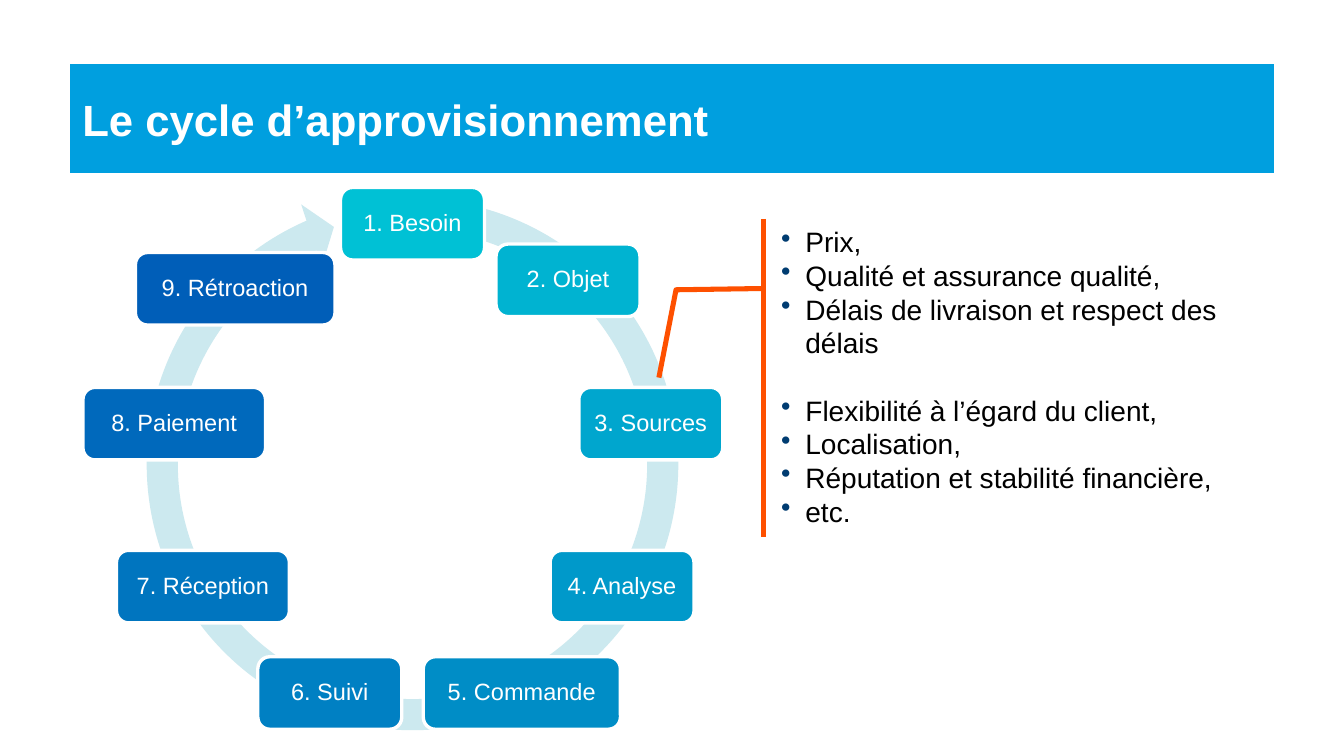
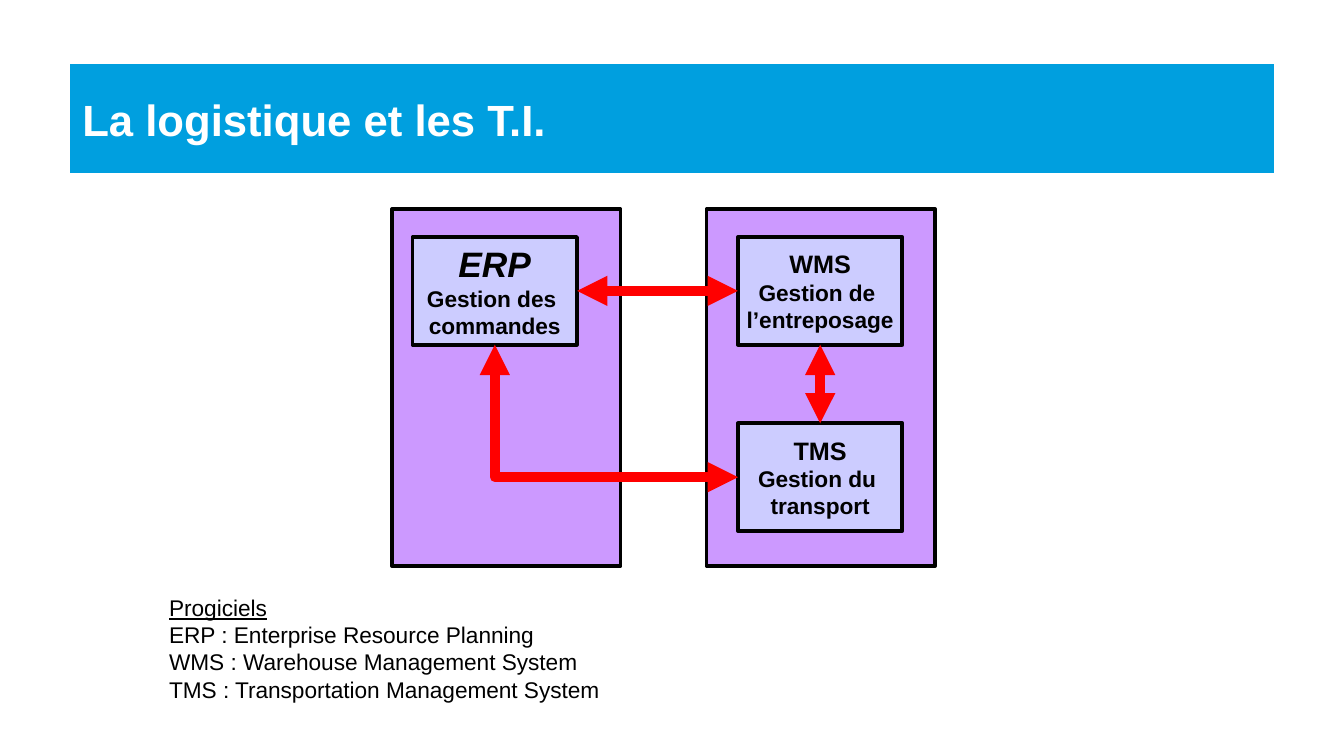
"""Build two slides on procurement and logistics."""
from math import cos, radians, sin

from lxml import etree
from pptx import Presentation
from pptx.dml.color import RGBColor
from pptx.enum.shapes import MSO_CONNECTOR, MSO_SHAPE
from pptx.enum.text import MSO_ANCHOR, MSO_AUTO_SIZE, PP_ALIGN
from pptx.oxml.ns import qn
from pptx.util import Inches, Pt

RECT = MSO_SHAPE.RECTANGLE
ROUND = MSO_SHAPE.ROUNDED_RECTANGLE
ARROW = MSO_SHAPE.CIRCULAR_ARROW
CALLOUT = MSO_SHAPE.LINE_CALLOUT_2_ACCENT_BAR
LINE, ELBOW = MSO_CONNECTOR.STRAIGHT, MSO_CONNECTOR.ELBOW
TOP, MIDDLE = MSO_ANCHOR.TOP, MSO_ANCHOR.MIDDLE
LEFT, CENTER = PP_ALIGN.LEFT, PP_ALIGN.CENTER
FIXED = MSO_AUTO_SIZE.NONE

FONT = "Arial"
WHITE = RGBColor(255, 255, 255)
BLACK = RGBColor(0, 0, 0)
BLUE = RGBColor(0x00, 0x9F, 0xDF)
NAVY = RGBColor(0x00, 0x3C, 0x71)
PALE = RGBColor(0xCC, 0xE9, 0xEF)
ORANGE = RGBColor(0xFE, 0x50, 0x00)
PURPLE = RGBColor(0xCC, 0x99, 0xFF)
LILAC = RGBColor(0xCC, 0xCC, 0xFF)
RED = RGBColor(0xFF, 0x00, 0x00)

STEPS = [
    ("1. Besoin", 1.19, 0, 0, RGBColor(0x00, 0xC1, 0xD5)),
    ("2. Objet", 1.19, 0, 0, RGBColor(0x00, 0xB3, 0xD1)),
    ("3. Sources", 1.19, 0, 0, RGBColor(0x00, 0xA6, 0xCE)),
    ("4. Analyse", 1.19, 0, 0, RGBColor(0x00, 0x99, 0xCA)),
    ("5. Commande", 1.63, 0.22, 0, RGBColor(0x00, 0x8D, 0xC6)),
    ("6. Suivi", 1.19, 0, 0, RGBColor(0x00, 0x80, 0xC3)),
    ("7. Réception", 1.43, 0, 0, RGBColor(0x00, 0x75, 0xBF)),
    ("8. Paiement", 1.51, 0, 0, RGBColor(0x00, 0x69, 0xBC)),
    ("9. Rétroaction", 1.65, -0.18, 0.07, RGBColor(0x00, 0x5E, 0xB8)),
]
FACTORS = [
    ("Prix,", 0),
    ("Qualité et assurance qualité,", 0),
    ("Délais de livraison et respect des délais", 0),
    ("Flexibilité à l’égard du client,", 20),
    ("Localisation,", 0),
    ("Réputation et stabilité financière,", 0),
    ("etc.", 0),
]
TERMS = [
    "ERP : Enterprise Resource Planning",
    "WMS : Warehouse Management System",
    "TMS : Transportation Management System",
]


def write(frame, text, size, color=BLACK, bold=False, italic=False,
          under=False, align=LEFT, space=None, before=0, bullet=None):
    """Add one formatted paragraph to a text frame."""
    para = frame.add_paragraph() if frame.text else frame.paragraphs[0]
    if bullet is not None:
        props = para._p.get_or_add_pPr()
        props.set("marL", str(Inches(0.2)))
        props.set("indent", str(-Inches(0.2)))
        tint = etree.SubElement(props, qn("a:buClr"))
        etree.SubElement(tint, qn("a:srgbClr")).set("val", str(bullet))
        etree.SubElement(props, qn("a:buChar")).set("char", "•")
    para.alignment = align
    if space:
        para.line_spacing = space
    if before:
        para.space_before = Pt(before)
    run = para.add_run()
    run.text = text
    font = run.font
    font.name, font.size = FONT, Pt(size)
    font.bold, font.italic, font.underline = bold, italic, under
    font.color.rgb = color


def draw(slide, kind, x, y, w, h, fill=None, line=None, width=1, adjust=()):
    """Add a preset shape with a flat fill and line."""
    shape = slide.shapes.add_shape(kind, Inches(x), Inches(y), Inches(w), Inches(h))
    shape.shadow.inherit = False
    if fill is None:
        shape.fill.background()
    else:
        shape.fill.solid()
        shape.fill.fore_color.rgb = fill
    if line is None:
        shape.line.fill.background()
    else:
        shape.line.color.rgb = line
        shape.line.width = Pt(width)
    for i, value in enumerate(adjust):
        shape.adjustments[i] = value
    shape.text_frame.vertical_anchor = MIDDLE
    return shape


def link(slide, x1, y1, x2, y2, bent=False):
    """Join two points by a red line with two arrowheads."""
    if bent:
        mx, my = (x1 + x2) / 2, (y1 + y2) / 2
        w, h = y2 - y1, x2 - x1
        x1, y1, x2, y2 = mx - w / 2, my - h / 2, mx + w / 2, my + h / 2
    wire = slide.shapes.add_connector(
        ELBOW if bent else LINE, Inches(x1), Inches(y1), Inches(x2), Inches(y2))
    wire.line.color.rgb = RED
    wire.line.width = Pt(6)
    props = wire._element.spPr
    if bent:
        props.find(qn("a:prstGeom")).set("prst", "bentConnector2")
        frame = props.find(qn("a:xfrm"))
        frame.set("rot", "16200000")
        frame.set("flipH", "1")
    for end in ("a:headEnd", "a:tailEnd"):
        etree.SubElement(props.find(qn("a:ln")), qn(end)).set("type", "triangle")
    etree.SubElement(props, qn("a:effectLst"))


def start(deck, text):
    """Add a slide with the shared title band."""
    slide = deck.slides.add_slide(deck.slide_layouts[5])
    band = slide.shapes.title
    band.left, band.top = Inches(0.58), Inches(0.53)
    band.width, band.height = Inches(9.95), Inches(0.9)
    band.fill.solid()
    band.fill.fore_color.rgb = BLUE
    frame = band.text_frame
    frame.auto_size, frame.vertical_anchor = FIXED, MIDDLE
    write(frame, text, 26, WHITE, bold=True)
    return slide


def cycle(slide, x, y, side):
    """Draw the ring of steps in a square box."""
    draw(slide, ARROW, x, y, side, side, PALE,
         adjust=(0.055, 3.307, 147.714, 168.052, 0.058))
    mid, radius, high = side / 2, 2, 0.6
    for i, (text, wide, dx, dy, color) in enumerate(STEPS):
        turn = radians(i * 360 / len(STEPS))
        cx = x + mid + radius * sin(turn) + dx
        cy = y + mid + 0.01 - radius * cos(turn) + dy
        node = draw(slide, ROUND, cx - wide / 2, cy - high / 2, wide, high,
                    color, WHITE, 2)
        frame = node.text_frame
        frame.margin_left = frame.margin_right = Inches(0.06)
        write(frame, text, 14, WHITE, align=CENTER, space=0.9)


def factors(slide, x, y, w, h):
    """Draw the callout with the selection factors."""
    note = draw(slide, CALLOUT, x, y, w, h, line=ORANGE, width=3,
                adjust=(0.219, -0.011, 0.223, -0.185, 0.499, -0.219))
    frame = note.text_frame
    frame.word_wrap, frame.vertical_anchor = True, TOP
    for text, gap in FACTORS:
        write(frame, text, 16.7, before=gap, bullet=NAVY)


def system(slide, x, y, w, h, name, lines, size=15, italic=False):
    """Draw one software box."""
    frame = draw(slide, RECT, x, y, w, h, LILAC, BLACK, 2.25).text_frame
    frame.word_wrap = False
    write(frame, name, size, bold=True, italic=italic, align=CENTER)
    for text in lines:
        write(frame, text, 13.5, bold=True, align=CENTER)


def systems(slide, x, y):
    """Draw the two zones, their systems and the links."""
    for dx in (0, 2.6):
        draw(slide, RECT, x + dx, y, 1.89, 2.95, PURPLE, BLACK, 2.25)
    w, h = 1.36, 0.89
    near, far = x + 0.17, x + 2.86
    high, low = y + 0.23, y + 1.77
    system(slide, near, high, w, h, "ERP", ("Gestion des ", "commandes"), 21, True)
    system(slide, far, high, w, h, "WMS", ("Gestion de ", "l’entreposage"))
    system(slide, far, low, w, h, "TMS", ("Gestion du ", "transport"))
    link(slide, near + w / 2, high + h, far, low + h / 2, bent=True)
    link(slide, near + w, high + h / 2, far, high + h / 2)
    link(slide, far + w / 2, high + h, far + w / 2, low)


def terms(slide, x, y, w, h):
    """Write the list of software terms."""
    box = slide.shapes.add_textbox(Inches(x), Inches(y), Inches(w), Inches(h))
    frame = box.text_frame
    frame.word_wrap = True
    write(frame, "Progiciels", 13.5, under=True)
    for text in TERMS:
        write(frame, text, 13.5)


def main():
    """Build and save the deck."""
    deck = Presentation()
    deck.slide_width, deck.slide_height = Inches(11.11), Inches(6.25)
    slide = start(deck, "Le cycle d’approvisionnement")
    cycle(slide, 1.07, 1.5, 4.68)
    factors(slide, 6.36, 1.81, 4.17, 2.63)
    slide = start(deck, "La logistique et les T.I.")
    systems(slide, 3.24, 1.73)
    terms(slide, 1.3, 4.86, 7.83, 1.01)
    deck.save("out.pptx")


if __name__ == "__main__":
    main()
